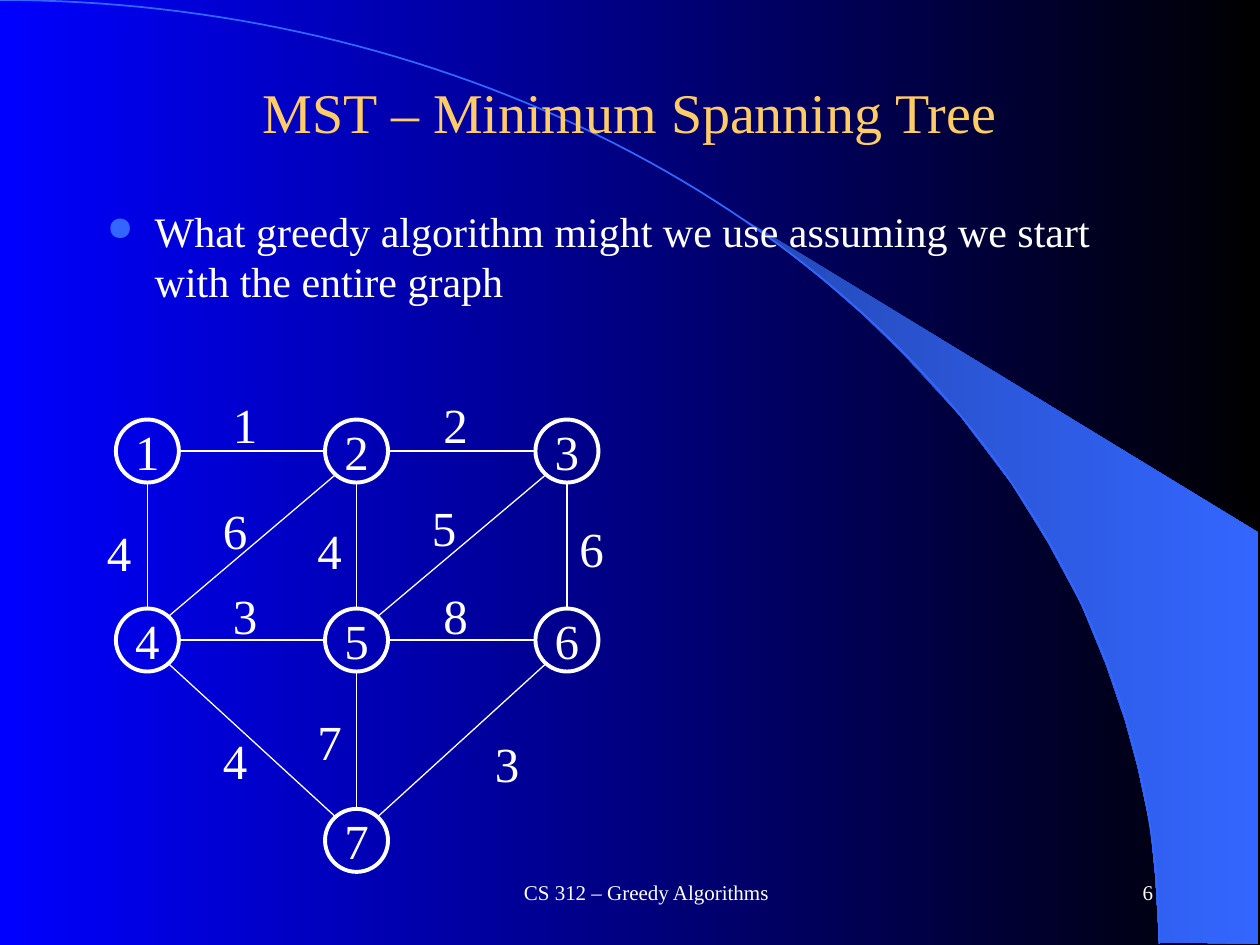
from math import cos, pi, sin

from lxml.etree import SubElement
from pptx import Presentation
from pptx.dml.color import RGBColor
from pptx.enum.shapes import MSO_CONNECTOR as CONN, MSO_SHAPE as SHAPE
from pptx.enum.text import MSO_ANCHOR as ANCHOR, PP_ALIGN as ALIGN
from pptx.oxml.ns import qn
from pptx.util import Inches, Pt

FONT = "Times New Roman"
WHITE, BLUE, GOLD = "FFFFFF", "3366FF", "FFCC66"
COLS, ROWS = (1.17, 2.83, 4.5), (3.58, 5.08, 6.67)
NODES = {
    n: (COLS[c], ROWS[r])
    for n, c, r in [(1, 0, 0), (2, 1, 0), (3, 2, 0), (4, 0, 1), (5, 1, 1), (6, 2, 1), (7, 1, 2)]
}
EDGES = [
    (1, 2, "1", 1.75, 3.08),
    (2, 3, "2", 3.42, 3.08),
    (4, 5, "3", 1.75, 4.6),
    (5, 6, "8", 3.42, 4.6),
    (1, 4, "4", 0.75, 4.1),
    (4, 2, "6", 1.67, 3.92),
    (2, 5, "4", 2.42, 4.08),
    (5, 3, "5", 3.33, 3.9),
    (3, 6, "6", 4.5, 4.07),
    (4, 7, "4", 1.67, 5.75),
    (5, 7, "7", 2.42, 5.6),
    (6, 7, "3", 3.83, 5.77),
]
SWOOSH = [
    (9.2, 7.48), (9.99, 7.49), (9.99, 4.23), (5.89, 1.73), (6.24, 1.99), (6.53, 2.22),
    (6.85, 2.5), (7.16, 2.8), (7.62, 3.3), (8.03, 3.84), (8.32, 4.31), (8.58, 4.79),
    (8.78, 5.28), (8.93, 5.72), (9.03, 6.09), (9.13, 6.56), (9.17, 6.96),
]


def rgb(value):
    """Return the colour for a hex string."""
    return RGBColor.from_string(value)


def write(sp, text, size=28, color=WHITE, align=ALIGN.LEFT, anchor=ANCHOR.TOP, wrap=True):
    """Write one formatted paragraph into a shape and return it."""
    tf = sp.text_frame
    tf.word_wrap, tf.vertical_anchor = wrap, anchor
    p = tf.paragraphs[0]
    p.alignment = align
    r = p.add_run()
    r.text = text
    r.font.name, r.font.size, r.font.color.rgb = FONT, Pt(size), rgb(color)
    return p


def add_text(s, x, y, w, h, text, **fmt):
    """Add a text box and return its paragraph."""
    return write(s.shapes.add_textbox(Inches(x), Inches(y), Inches(w), Inches(h)), text, **fmt)


def add_bullet(p):
    """Give a paragraph a round blue bullet and a hanging indent."""
    pPr = p._p.get_or_add_pPr()
    pPr.set("marL", str(Inches(0.38)))
    pPr.set("indent", str(Inches(-0.38)))
    SubElement(SubElement(pPr, qn("a:buClr")), qn("a:srgbClr"), val=BLUE)
    SubElement(pPr, qn("a:buSzPct"), val="80000")
    SubElement(pPr, qn("a:buChar"), char="●")


def set_gradient(fill, *colors):
    """Apply a left-to-right gradient of two colours."""
    fill.gradient()
    fill.gradient_angle = 0
    for stop, color in zip(fill.gradient_stops, colors):
        stop.color.rgb = rgb(color)


def add_outline(s, points, close):
    """Add a freeform through points given in inches."""
    start, *rest = [(Inches(x), Inches(y)) for x, y in points]
    builder = s.shapes.build_freeform(*start)
    builder.add_line_segments(rest, close=close)
    sp = builder.convert_to_shape()
    sp.shadow.inherit = False
    return sp


def add_backdrop(s):
    """Draw the gradient background, the swoosh and its arc."""
    set_gradient(s.background.fill, "0000FF", "000000")
    swoosh = add_outline(s, SWOOSH, True)
    set_gradient(swoosh.fill, "2449B6", BLUE)
    swoosh.line.fill.background()
    steps = 90
    angles = [pi / 2 * i / steps for i in range(steps + 1)]
    arc = add_outline(s, [(9.2 * sin(a), 7.49 * (1 - cos(a))) for a in angles], False)
    arc.fill.background()
    arc.line.color.rgb, arc.line.width = rgb(BLUE), Pt(1)


def add_title(s, text):
    """Place and format the title above the backdrop."""
    sp = s.shapes.title
    sp.left, sp.top, sp.width, sp.height = map(Inches, (0.75, 0.42, 8.5, 0.92))
    write(sp, text, size=32, color=GOLD, align=ALIGN.CENTER, anchor=ANCHOR.MIDDLE)
    sp.element.getparent().append(sp.element)


def add_node(s, number, x, y):
    """Draw a numbered circle centred on a point."""
    box = map(Inches, (x - 0.25, y - 0.25, 0.5, 0.5))
    sp = s.shapes.add_shape(SHAPE.OVAL, *box)
    sp.shadow.inherit = False
    sp.fill.background()
    sp.line.color.rgb, sp.line.width = rgb(WHITE), Pt(2.25)
    write(sp, str(number), align=ALIGN.CENTER, anchor=ANCHOR.MIDDLE, wrap=False)


def add_edge(s, start, end):
    """Join the rims of two nodes with a thin line."""
    (x1, y1), (x2, y2) = start, end
    dx, dy = (x2 > x1) - (x2 < x1), (y2 > y1) - (y2 < y1)
    gx, gy = (0.17 * dx, 0.19 * dy) if dx and dy else (0.26 * dx, 0.26 * dy)
    ends = map(Inches, (x1 + gx, y1 + gy, x2 - gx, y2 - gy))
    line = s.shapes.add_connector(CONN.STRAIGHT, *ends)
    line.line.color.rgb, line.line.width = rgb(WHITE), Pt(0.75)
    SubElement(line.element.spPr, qn("a:effectLst"))


def add_graph(s):
    """Draw the weighted graph."""
    for number, (x, y) in NODES.items():
        add_node(s, number, x, y)
    for a, b, weight, x, y in EDGES:
        add_edge(s, NODES[a], NODES[b])
        add_text(s, x, y, 0.5, 0.57, weight)


def main():
    """Build the slide and save it."""
    prs = Presentation()
    prs.slide_width, prs.slide_height = Inches(10), Inches(7.5)
    s = prs.slides.add_slide(prs.slide_layouts[5])
    add_backdrop(s)
    add_title(s, "MST – Minimum Spanning Tree")
    question = "What greedy algorithm might we use assuming we start with the entire graph"
    add_bullet(add_text(s, 0.75, 1.58, 8.5, 1.2, question, size=24))
    footer = {"size": 12, "anchor": ANCHOR.MIDDLE}
    add_text(s, 3.17, 6.83, 3.92, 0.5, "CS 312 – Greedy Algorithms", align=ALIGN.CENTER, **footer)
    add_text(s, 7.17, 6.83, 2.08, 0.5, "6", align=ALIGN.RIGHT, **footer)
    add_graph(s)
    prs.save("out.pptx")


if __name__ == "__main__":
    main()
